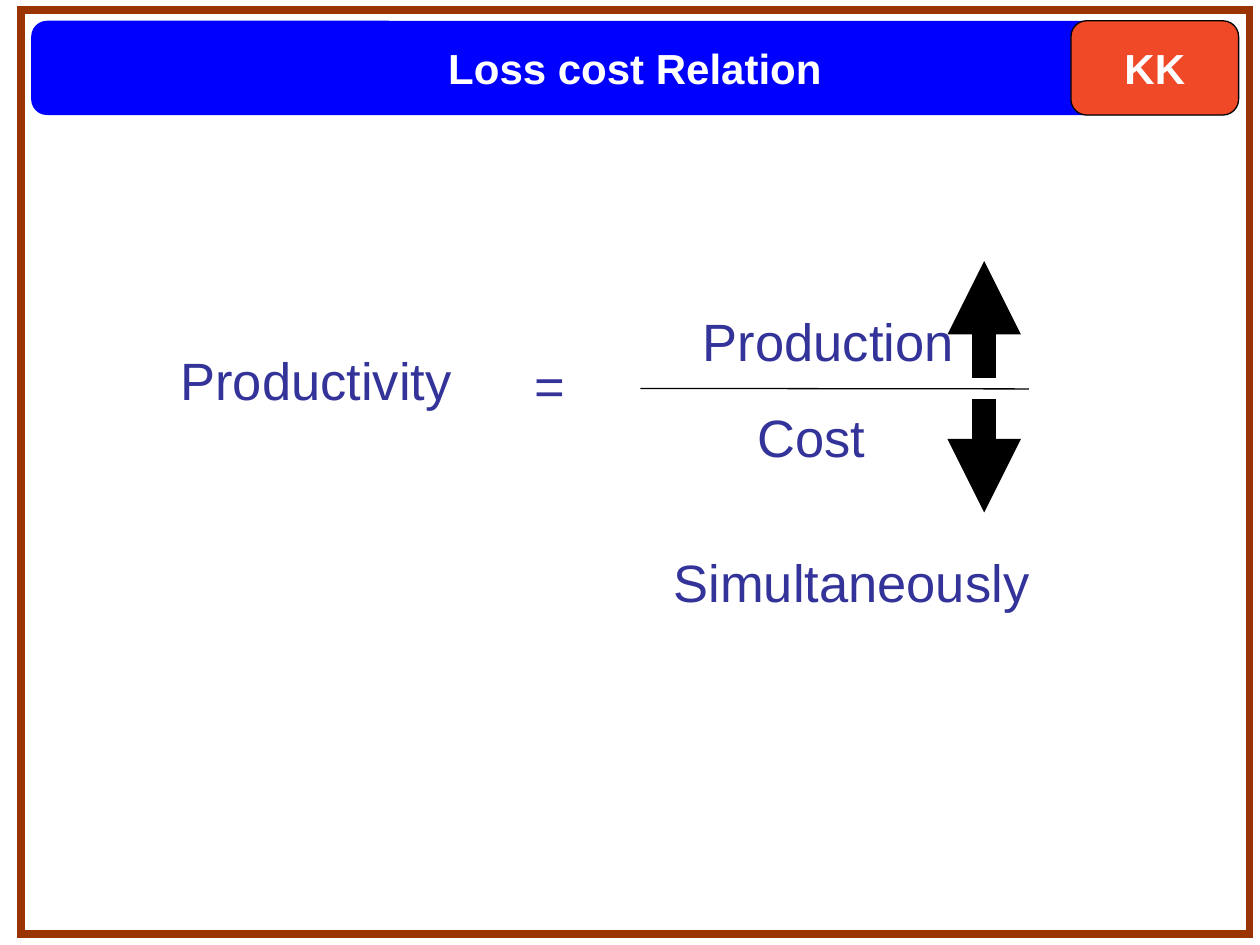
from dataclasses import dataclass

from lxml import etree
from pptx import Presentation
from pptx.dml.color import RGBColor
from pptx.enum.shapes import MSO_CONNECTOR, MSO_SHAPE
from pptx.enum.text import MSO_ANCHOR, MSO_AUTO_SIZE, PP_ALIGN
from pptx.oxml.ns import qn
from pptx.util import Cm, Pt

RECT, ROUND = MSO_SHAPE.RECTANGLE, MSO_SHAPE.ROUNDED_RECTANGLE
LINE = MSO_CONNECTOR.STRAIGHT
MID, TOP = MSO_ANCHOR.MIDDLE, MSO_ANCHOR.TOP
CENTER, LEFT = PP_ALIGN.CENTER, PP_ALIGN.LEFT
FIXED, GROW = MSO_AUTO_SIZE.NONE, MSO_AUTO_SIZE.SHAPE_TO_FIT_TEXT

BLACK = RGBColor(0x00, 0x00, 0x00)
WHITE = RGBColor(0xFF, 0xFF, 0xFF)
BROWN = RGBColor(0x99, 0x33, 0x00)
BLUE = RGBColor(0x00, 0x00, 0xFF)
ORANGE = RGBColor(0xF0, 0x49, 0x28)
INDIGO = RGBColor(0x33, 0x33, 0x99)

HEAD = {"name": "Arial", "size": Pt(24), "bold": True}
TERM = {"name": "Arial", "size": Pt(30), "bold": False}


@dataclass
class Box:
    x: float
    y: float
    w: float
    h: float

    def place(self) -> tuple:
        return Cm(self.x), Cm(self.y), Cm(self.w), Cm(self.h)


@dataclass
class Term:
    text: str
    box: Box


@dataclass
class Rule:
    start: tuple[float, float]
    end: tuple[float, float]
    width: float
    arrow: bool = False


FRAME = Box(0.42, 0.21, 24.77, 18.62)
BAR = Box(0.63, 0.42, 24.34, 1.9)
BADGE = Box(21.59, 0.42, 3.38, 1.9)

TERMS = [
    Term("Production", Box(13.92, 6.1, 5.6, 1.52)),
    Term("Cost", Box(15.02, 8.05, 2.75, 1.52)),
    Term("Productivity", Box(3.39, 6.89, 6.02, 1.52)),
    Term("=", Box(10.52, 6.99, 1.15, 1.52)),
    Term("Simultaneously", Box(13.33, 10.97, 7.75, 1.52)),
]
RULES = [
    Rule((12.91, 7.83), (20.74, 7.84), 0.75),  # fraction bar
    Rule((19.84, 7.62), (19.84, 5.26), 14, True),  # production up
    Rule((19.84, 8.05), (19.84, 10.33), 14, True),  # cost down
]


def write(shape, text: str, font: dict, color: RGBColor, align, anchor, fit) -> None:
    frame = shape.text_frame
    frame.text = text
    frame.word_wrap = False
    frame.auto_size = fit
    frame.vertical_anchor = anchor
    para = frame.paragraphs[0]
    para.alignment = align
    for key, value in font.items():
        setattr(para.font, key, value)
    para.font.color.rgb = color


def draw_box(slide, kind, box: Box, fill=None, edge=None, width: float = 0.75):
    shape = slide.shapes.add_shape(kind, *box.place())
    shape.shadow.inherit = False
    if fill is None:
        shape.fill.background()
    else:
        shape.fill.solid()
        shape.fill.fore_color.rgb = fill
    if edge is None:
        shape.line.fill.background()
    else:
        shape.line.color.rgb = edge
        shape.line.width = Pt(width)
    return shape


def draw_term(slide, term: Term) -> None:
    shape = slide.shapes.add_textbox(*term.box.place())
    write(shape, term.text, TERM, INDIGO, LEFT, TOP, GROW)


def draw_rule(slide, rule: Rule) -> None:
    ends = [Cm(v) for v in rule.start + rule.end]
    line = slide.shapes.add_connector(LINE, *ends)
    line.line.color.rgb = BLACK
    line.line.width = Pt(rule.width)
    if rule.arrow:
        etree.SubElement(line.line._get_or_add_ln(), qn("a:tailEnd"), type="triangle")
    etree.SubElement(line._element.spPr, qn("a:effectLst"))


def main() -> None:
    deck = Presentation()
    deck.slide_width, deck.slide_height = Cm(25.4), Cm(19.05)
    slide = deck.slides.add_slide(deck.slide_layouts[5])

    # Frame with square corners
    frame = draw_box(slide, RECT, FRAME, edge=BROWN, width=4.5)
    etree.SubElement(frame.line._get_or_add_ln(), qn("a:miter"), lim="800000")

    # Header
    draw_box(slide, ROUND, BAR, fill=BLUE)
    title = slide.shapes.title
    title.left, title.top, title.width, title.height = BAR.place()
    write(title, "Loss cost Relation", HEAD, WHITE, CENTER, MID, FIXED)
    slide.shapes._spTree.append(title._element)  # bring in front of the bar
    badge = draw_box(slide, ROUND, BADGE, fill=ORANGE, edge=BLACK)
    write(badge, "KK", HEAD, WHITE, CENTER, MID, FIXED)

    # Productivity formula
    for rule in RULES:
        draw_rule(slide, rule)
    for term in TERMS:
        draw_term(slide, term)

    deck.save("out.pptx")


if __name__ == "__main__":
    main()
